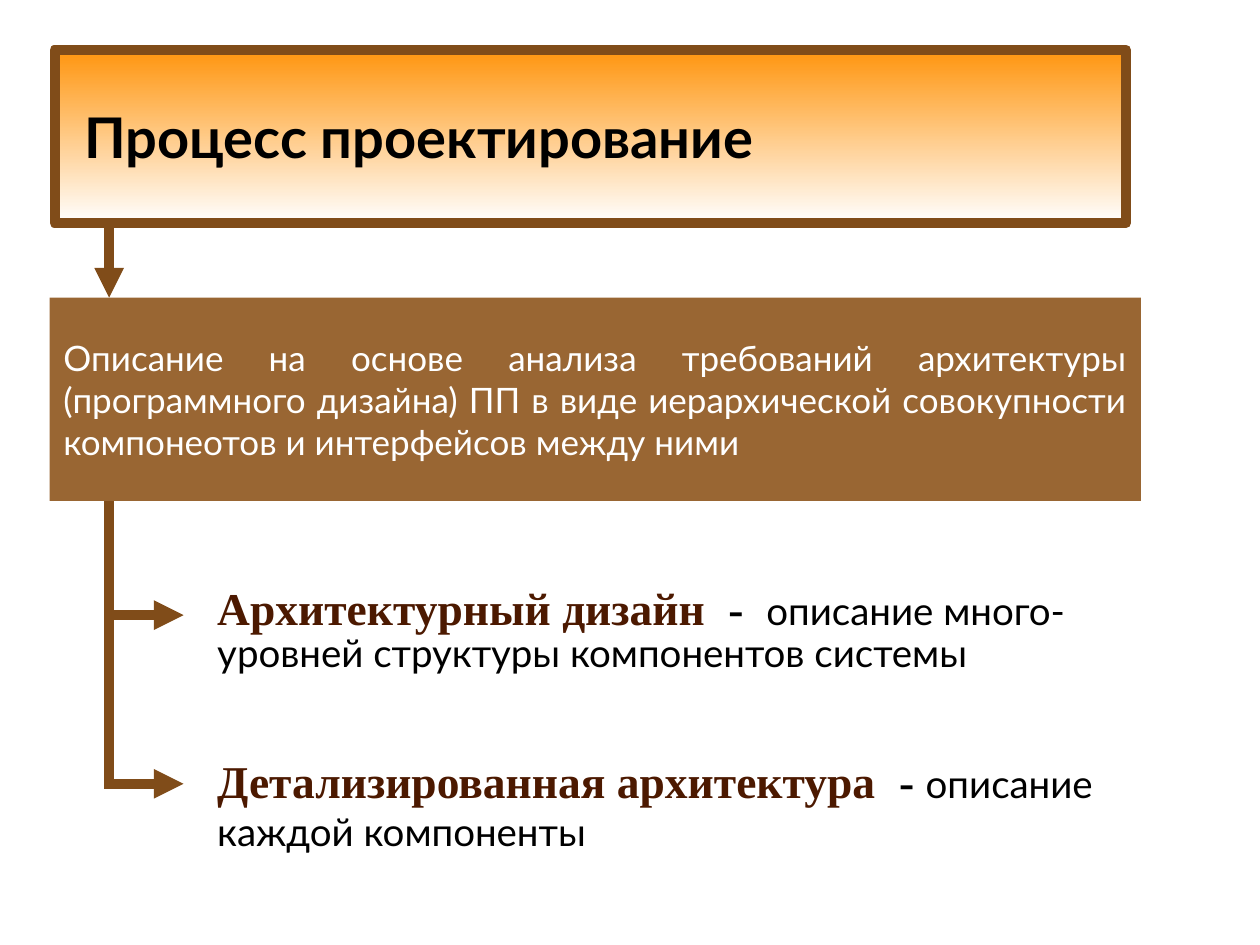
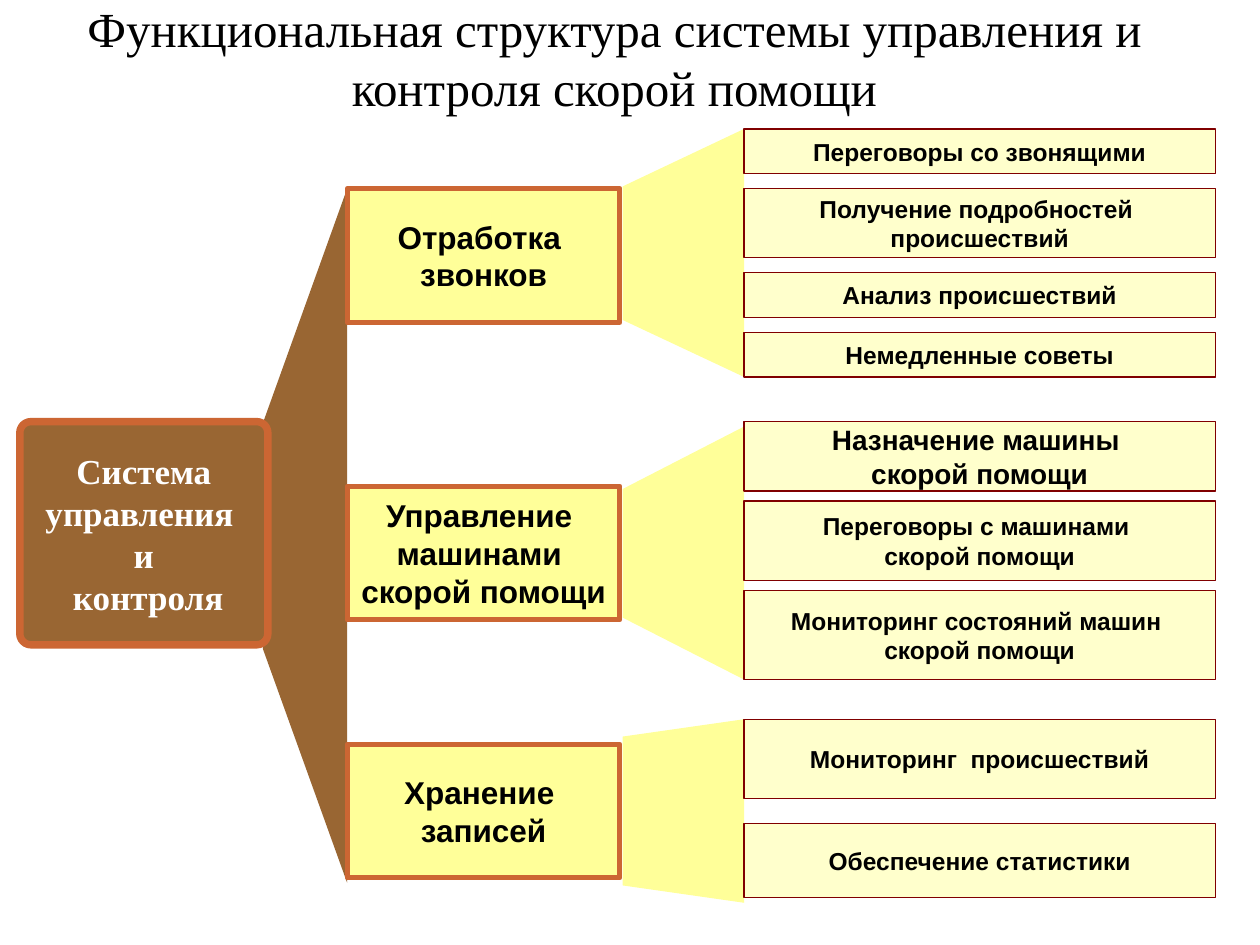
"""Build two slides on software design and an ambulance dispatch system."""
import pptx
import pptx.dml.color
import pptx.enum.shapes
import pptx.enum.text
import pptx.oxml
import pptx.oxml.ns
import pptx.util

Cm = pptx.util.Cm
Pt = pptx.util.Pt
RGB = pptx.dml.color.RGBColor
Shape = pptx.enum.shapes.MSO_SHAPE
Align = pptx.enum.text.PP_ALIGN

BLACK = RGB(0x00, 0x00, 0x00)
WHITE = RGB(0xFF, 0xFF, 0xFF)
ORANGE = RGB(0xFF, 0x95, 0x0E)
DARK_BROWN = RGB(0x80, 0x4C, 0x19)
BROWN = RGB(0x99, 0x66, 0x33)
TERM_BROWN = RGB(0x4C, 0x19, 0x00)
COPPER = RGB(0xCC, 0x66, 0x33)
MAROON = RGB(0x80, 0x00, 0x00)
YELLOW = RGB(0xFF, 0xFF, 0x99)
CREAM = RGB(0xFF, 0xFF, 0xCC)

LATO, TIMES, ARIAL = "Lato", "Times New Roman", "Arial"
FLOW_LINE = 5.67


class Deck:
    """Hold the presentation, its current slide and the shared style."""

    def __init__(self):
        self.file = pptx.Presentation()
        self.file.slide_width, self.file.slide_height = Cm(25.4), Cm(19.05)
        self.slide = None

    def add_slide(self):
        """Start a title-only slide."""
        self.slide = self.file.slides.add_slide(self.file.slide_layouts[5])

    def style_font(self, font, name, size, color, bold=False):
        """Set the look of a paragraph or run font."""
        font.name, font.size, font.bold = name, Pt(size), bold
        font.color.rgb = color

    def set_frame(self, frame, inset, wrap=True):
        """Centre the text vertically and set its left/right and top/bottom insets."""
        frame.auto_size = pptx.enum.text.MSO_AUTO_SIZE.NONE
        frame.word_wrap = wrap
        frame.vertical_anchor = pptx.enum.text.MSO_ANCHOR.MIDDLE
        frame.margin_left = frame.margin_right = Cm(inset[0])
        frame.margin_top = frame.margin_bottom = Cm(inset[1])

    def fill_text(self, frame, paragraphs, align, font):
        """Fill a frame with paragraphs that share one font."""
        for index, text in enumerate(paragraphs):
            paragraph = frame.add_paragraph() if index else frame.paragraphs[0]
            paragraph.text = text
            paragraph.alignment = align
            self.style_font(paragraph.font, *font)

    def title(self, place, text, align, font, inset=(0.25, 0.13)):
        """Place and format the title."""
        title = self.slide.shapes.title
        title.left, title.top, title.width, title.height = map(Cm, place)
        self.set_frame(title.text_frame, inset)
        self.fill_text(title.text_frame, [text], align, font)
        return title

    def paint(self, shape, fill, line=None, width=0):
        """Give a shape its fill and outline, without shadow."""
        shape.shadow.inherit = False
        shape.fill.solid()
        shape.fill.fore_color.rgb = fill
        if line is None:
            shape.line.fill.background()
        else:
            shape.line.color.rgb, shape.line.width = line, Pt(width)

    def box(self, place, paragraphs, font, fill, line=None, width=0, kind=Shape.RECTANGLE,
            align=Align.CENTER, inset=(0.25, 0.13), wrap=True):
        """Add a filled box with text."""
        box = self.slide.shapes.add_shape(kind, *map(Cm, place))
        self.paint(box, fill, line, width)
        self.set_frame(box.text_frame, inset, wrap)
        self.fill_text(box.text_frame, paragraphs, align, font)
        return box

    def flow(self, start, end, arrow=True):
        """Add a flow line, with or without an arrowhead."""
        flow = self.slide.shapes.add_connector(
            pptx.enum.shapes.MSO_CONNECTOR.STRAIGHT, *map(Cm, start + end))
        flow.line.color.rgb, flow.line.width = DARK_BROWN, Pt(FLOW_LINE)
        properties = flow.element.spPr
        if arrow:
            head = pptx.oxml.parse_xml(
                f'<a:tailEnd {pptx.oxml.ns.nsdecls("a")} type="triangle"/>')
            properties.find(pptx.oxml.ns.qn("a:ln")).append(head)
        properties.append(pptx.oxml.parse_xml(f'<a:effectLst {pptx.oxml.ns.nsdecls("a")}/>'))

    def funnel(self, left, left_span, right, right_span, fill):
        """Add a trapezoid that links a box to its parts."""
        corners = [(right, right_span[0]), (left, left_span[0]),
                   (left, left_span[1]), (right, right_span[1])]
        points = [(Cm(x), Cm(y)) for x, y in corners]
        builder = self.slide.shapes.build_freeform(*points[0])
        builder.add_line_segments(points[1:], close=True)
        self.paint(builder.convert_to_shape(), fill)

    def definitions(self, place, entries, gap):
        """Add terms with explanations, each a list of (text, font) runs."""
        frame = self.slide.shapes.add_textbox(*map(Cm, place)).text_frame
        self.set_frame(frame, (0.28, 0.15))
        for index, entry in enumerate(entries):
            paragraph = frame.add_paragraph() if index else frame.paragraphs[0]
            paragraph.line_spacing = 0.87
            paragraph.space_after = Pt(12.9 if index == len(entries) - 1 else gap)
            for text, font in entry:
                run = paragraph.add_run()
                run.text = text
                self.style_font(run.font, *font)


def design_process(deck):
    """Build the slide on the design process."""
    deck.add_slide()
    heading = deck.title((1.1, 1, 21.6, 3.5), "Процесс проектирование", Align.LEFT,
                         (LATO, 32, BLACK, True), (0.6, 0.25))
    heading.fill.gradient()
    heading.fill.gradient_angle = 270
    for stop, color in zip(heading.fill.gradient_stops, (ORANGE, WHITE)):
        stop.color.rgb = color
    heading.line.color.rgb, heading.line.width = DARK_BROWN, Pt(FLOW_LINE)

    stem = 2.2
    deck.flow((stem, 4.5), (stem, 6))
    deck.flow((stem, 9.4), (stem, 15.9), arrow=False)
    for branch in (12.4, 15.8):
        deck.flow((stem, branch), (stem + 1.5, branch))
    deck.box((1, 6, 22, 4.1),
             ["Описание на основе анализа требований архитектуры (программного дизайна) ПП "
              "в виде иерархической совокупности компонеотов и интерфейсов между ними"],
             (LATO, 20, WHITE), BROWN, align=Align.JUSTIFY, inset=(0.28, 0.15))

    term, dash = (TIMES, 26, TERM_BROWN, True), (TIMES, 26, BLACK, True)
    meaning = (LATO, 22, BLACK)
    deck.definitions((4.1, 11.2, 18.9, 6.7), [
        [("Архитектурный дизайн  ", term), ("-  ", dash),
         ("описание много-уровней структуры компонентов системы", meaning)],
        [("Детализированная архитектура  ", term), ("- ", dash),
         ("описание каждой компоненты ", meaning), (" ", dash)],
    ], gap=49)


def functional_structure(deck):
    """Build the slide on the functional structure of the dispatch system."""
    deck.add_slide()
    deck.title((0.97, -0.3, 22.83, 2.9),
               "Функциональная структура системы управления и контроля скорой помощи",
               Align.CENTER, (TIMES, 28, BLACK))

    branches = [
        ("Отработка \nзвонков", 3.8, (3.76, 6.45), (2.6, 7.6), 2.6, 0.3,
         [("Переговоры со звонящими", 0.9, 14),
          ("Получение подробностей \nпроисшествий", 1.4, 14),
          ("Анализ происшествий", 0.9, 14),
          ("Немедленные советы", 0.9, 14)]),
        ("Управление \nмашинами \nскорой помощи", 9.8, (9.86, 12.45), (8.6, 13.7), 8.5, 0.2,
         [("Назначение машины \nскорой помощи", 1.4, 16),
          ("Переговоры с машинами \nскорой помощи", 1.6, 14),
          ("Мониторинг состояний машин \nскорой помощи", 1.8, 14)]),
        ("Хранение \nзаписей", 15, (14.85, 17.85), (14.5, 18.2), 14.5, 0.5,
         [("Мониторинг  происшествий", 1.6, 14),
          ("Обеспечение статистики", 1.5, 14)]),
    ]
    branch_left, task_left = 7, 15

    deck.funnel(5.3, (8.53, 13.08), branch_left, (3.8, 17.8), BROWN)
    system = deck.box((0.4, 8.5, 5, 4.5), ["Система управления ", "и", " контроля"],
                      (TIMES, 20, WHITE, True), BROWN, COPPER, 4.25,
                      kind=Shape.ROUNDED_RECTANGLE, inset=(0.1, 0.13))
    system.adjustments[0] = 0.05

    for name, top, near_span, far_span, task_top, gap, tasks in branches:
        deck.funnel(12.55, near_span, task_left, far_span, YELLOW)
        deck.box((branch_left, top, 5.5, 2.7), [name], (ARIAL, 18, BLACK, True),
                 YELLOW, COPPER, 2.83, inset=(0.28, 0.15), wrap=False)
        for task, height, size in tasks:
            deck.box((task_left, task_top, 9.5, height), [task], (ARIAL, size, BLACK, True),
                     CREAM, MAROON, 0.75, wrap=False)
            task_top += height + gap


def main():
    """Build and save the presentation."""
    deck = Deck()
    design_process(deck)
    functional_structure(deck)
    deck.file.save("out.pptx")


if __name__ == "__main__":
    main()
